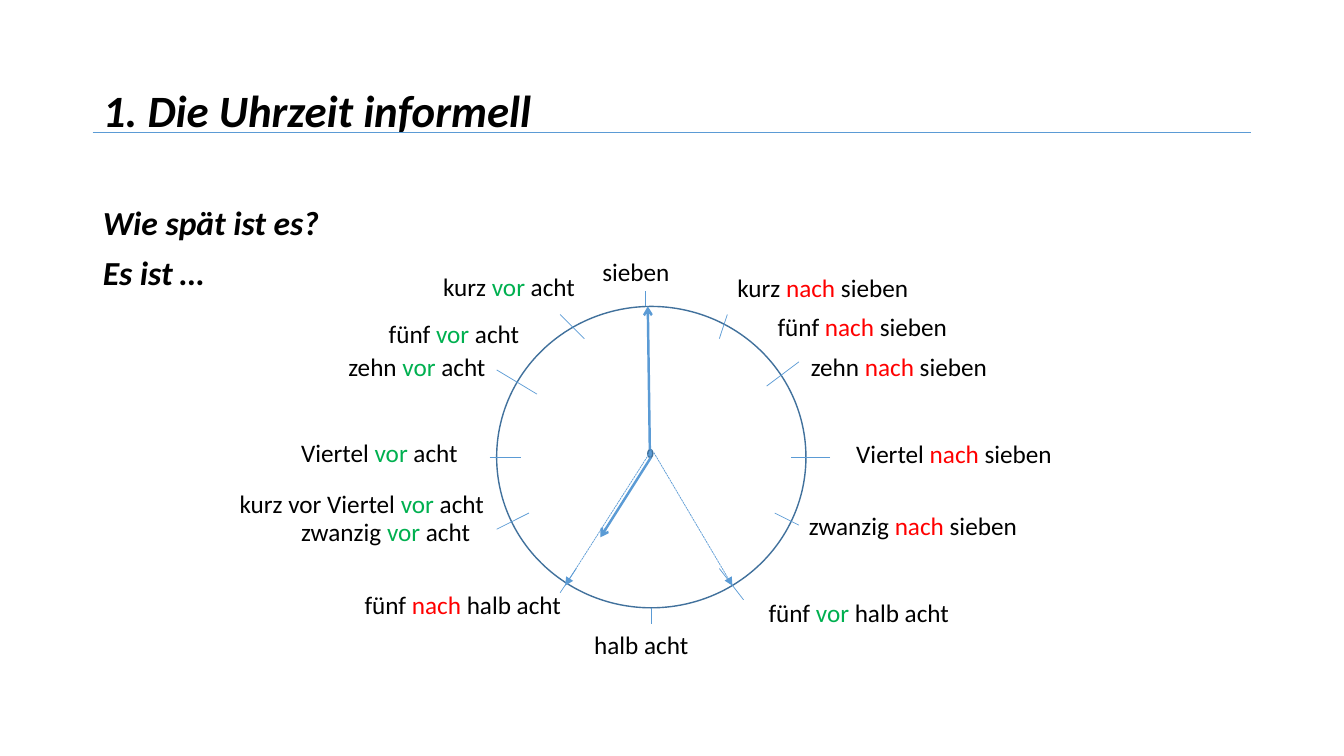
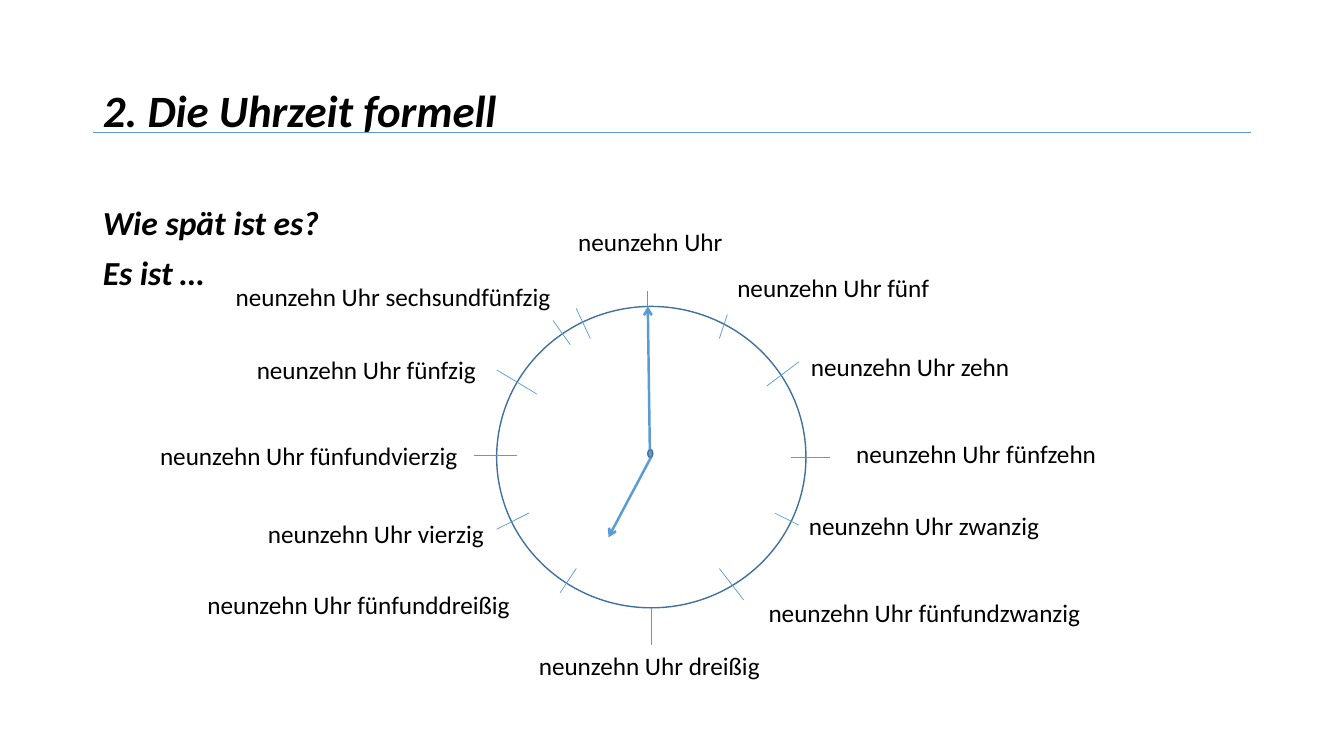
"""Build two slides on telling the time in German."""
from dataclasses import dataclass
from typing import NamedTuple

from lxml.etree import SubElement as Sub
from pptx import Presentation as Deck
from pptx.dml.color import RGBColor as Rgb
from pptx.enum.dml import MSO_LINE as Dash
from pptx.enum.shapes import MSO_CONNECTOR as Conn, MSO_SHAPE as Form
from pptx.enum.text import MSO_ANCHOR as Anchor, MSO_AUTO_SIZE as Fit, PP_ALIGN as Align
from pptx.oxml.ns import qn
from pptx.shapes.base import BaseShape as Shape
from pptx.slide import Slide
from pptx.text.text import TextFrame as Frame
from pptx.util import Emu, Pt

PX = 9144
FONT = "Calibri"
HUES = {"text": "000000", "line": "5B9BD5", "ring": "41719C",
        "vor": "00B050", "nach": "FF0000"}


class Box(NamedTuple):
    """Hold the place of a shape in px."""
    x: int
    y: int
    w: int
    h: int = 40


class Line(NamedTuple):
    """Hold the ends and the look of a line."""
    x1: int
    y1: int
    x2: int
    y2: int
    width: float = 0.5
    head: str = ""
    dash: bool = False


class Label(NamedTuple):
    """Hold a label; stars mark its tinted word."""
    x: int
    y: int
    w: int
    text: str


@dataclass
class Page:
    """Hold what differs from slide to slide."""
    title: str
    labels: list[Label]
    lines: list[Line]


TITLE = Box(92, 40, 1150, 145)
BODY = Box(92, 200, 1150, 476)
RING = Box(493, 304, 307, 299)
HUB = Box(643, 446, 5, 8)
ASK = ["Wie spät ist es?", "Es ist …"]

SHARED = [
    Line(92, 131, 1242, 131),
    Line(645, 446, 643, 304, 1.75, "arrow"),
    Line(824, 454, 785, 454),
    Line(714, 564, 738, 595),
    Line(769, 509, 793, 521),
    Line(722, 312, 714, 336),
    Line(793, 359, 761, 383),
    Line(493, 367, 533, 391),
    Line(493, 525, 525, 509),
    Line(572, 564, 556, 588),
]

PAGES = [
    Page("1. Die Uhrzeit informell", [
        Label(588, 249, 118, "sieben"),
        Label(722, 265, 236, "kurz *nach* sieben"),
        Label(762, 304, 236, "fünf *nach* sieben"),
        Label(795, 344, 260, "zehn *nach* sieben"),
        Label(840, 430, 252, "Viertel *nach* sieben"),
        Label(793, 501, 260, "zwanzig *nach* sieben"),
        Label(753, 588, 284, "fünf *vor* halb acht"),
        Label(580, 619, 134, "halb acht"),
        Label(352, 580, 284, "fünf *nach* halb acht"),
        Label(289, 507, 260, "zwanzig *vor* acht"),
        Label(228, 480, 268, "kurz vor Viertel *vor* acht"),
        Label(289, 429, 189, "Viertel *vor* acht"),
        Label(336, 344, 213, "zehn *vor* acht"),
        Label(376, 311, 236, "fünf *vor* acht"),
        Label(430, 264, 236, "kurz *vor* acht"),
    ], [
        Line(646, 454, 596, 533, 1.75, "arrow"),
        Line(647, 603, 647, 619),
        Line(486, 454, 517, 454),
        Line(641, 289, 641, 304),
        Line(556, 312, 580, 336),
        Line(649, 449, 727, 581, 0.5, "triangle", True),
        Line(647, 446, 561, 581, 0.5, "triangle", True),
    ]),
    Page("2. Die Uhrzeit formell", [
        Label(564, 220, 181, "neunzehn Uhr"),
        Label(722, 265, 236, "neunzehn Uhr fünf"),
        Label(795, 344, 260, "neunzehn Uhr zehn"),
        Label(840, 430, 282, "neunzehn Uhr fünfzehn"),
        Label(793, 501, 260, "neunzehn Uhr zwanzig"),
        Label(753, 588, 345, "neunzehn Uhr fünfundzwanzig"),
        Label(525, 640, 244, "neunzehn Uhr dreißig"),
        Label(196, 580, 354, "neunzehn Uhr fünfunddreißig"),
        Label(256, 509, 268, "neunzehn Uhr vierzig"),
        Label(149, 432, 348, "neunzehn Uhr fünfundvierzig"),
        Label(245, 347, 252, "neunzehn Uhr fünfzig"),
        Label(224, 274, 356, "neunzehn Uhr sechsundfünfzig"),
    ], [
        Line(646, 454, 604, 533, 1.75, "arrow"),
        Line(647, 603, 647, 640),
        Line(470, 452, 513, 452),
        Line(643, 289, 643, 304),
        Line(572, 306, 586, 336),
        Line(549, 318, 566, 342),
    ]),
]


def px(*nums: int) -> list[Emu]:
    """Turn px into EMU."""
    return [Emu(num * PX) for num in nums]


def hue(name: str) -> Rgb:
    """Look up a colour by name."""
    return Rgb.from_string(HUES[name])


def write(frame: Frame, rows: list[str], *, size: int = 18, bold: bool = False,
          space: float = 1.0, gap: int = 0, hang: int = 0,
          anchor: Anchor = Anchor.TOP, fit: Fit = Fit.NONE) -> None:
    """Fill a frame with rows, tinting each word set in stars."""
    frame.word_wrap = True
    frame.auto_size = fit
    frame.vertical_anchor = anchor
    for i, row in enumerate(rows):
        para = frame.add_paragraph() if i else frame.paragraphs[0]
        if hang:
            props = para._p.get_or_add_pPr()
            props.set("marL", str(hang * PX))
            props.set("indent", str(-hang * PX))
            Sub(props, qn("a:buNone"))
        para.alignment = Align.LEFT
        para.line_spacing = space
        para.space_before = Pt(gap if i else 0)
        for j, part in enumerate(row.split("*")):
            run = para.add_run()
            run.text = part
            font = run.font
            font.name, font.size = FONT, Pt(size)
            font.bold = font.italic = bold
            font.color.rgb = hue(part if j % 2 else "text")


def place(shape: Shape, box: Box) -> None:
    """Move a placeholder into its box."""
    shape.left, shape.top, shape.width, shape.height = px(*box)


def oval(slide: Slide, box: Box, fill: str = "") -> None:
    """Draw an ellipse, hollow unless a fill is named."""
    shape = slide.shapes.add_shape(Form.OVAL, *px(*box))
    shape.shadow.inherit = False
    if fill:
        shape.fill.solid()
        shape.fill.fore_color.rgb = hue(fill)
    else:
        shape.fill.background()
    shape.line.color.rgb = hue("ring")
    shape.line.width = Pt(1)


def draw(slide: Slide, line: Line) -> None:
    """Draw a line with its dash and arrowhead."""
    conn = slide.shapes.add_connector(Conn.STRAIGHT, *px(*line[:4]))
    conn.line.color.rgb = hue("line")
    conn.line.width = Pt(line.width)
    if line.dash:
        conn.line.dash_style = Dash.SQUARE_DOT
    if line.head:
        Sub(conn.line._get_or_add_ln(), qn("a:tailEnd"), type=line.head)
    Sub(conn._element.spPr, qn("a:effectLst"))


def build(deck: Deck, page: Page) -> None:
    """Add one slide with its clock."""
    slide = deck.slides.add_slide(deck.slide_layouts[1])
    title, body = slide.placeholders
    place(title, TITLE)
    write(title.text_frame, [page.title], size=32, bold=True, space=0.9,
          anchor=Anchor.MIDDLE)
    place(body, BODY)
    write(body.text_frame, ASK, size=24, bold=True, space=0.9, gap=10, hang=25)
    oval(slide, RING)
    oval(slide, HUB, "line")
    for label in page.labels:
        box = slide.shapes.add_textbox(*px(*Box(*label[:3])))
        write(box.text_frame, [label.text], fit=Fit.SHAPE_TO_FIT_TEXT)
    for line in SHARED + page.lines:
        draw(slide, line)


def main() -> None:
    """Build and save the deck."""
    deck = Deck()
    deck.slide_width, deck.slide_height = px(1334, 750)
    for page in PAGES:
        build(deck, page)
    deck.save("out.pptx")


if __name__ == "__main__":
    main()
